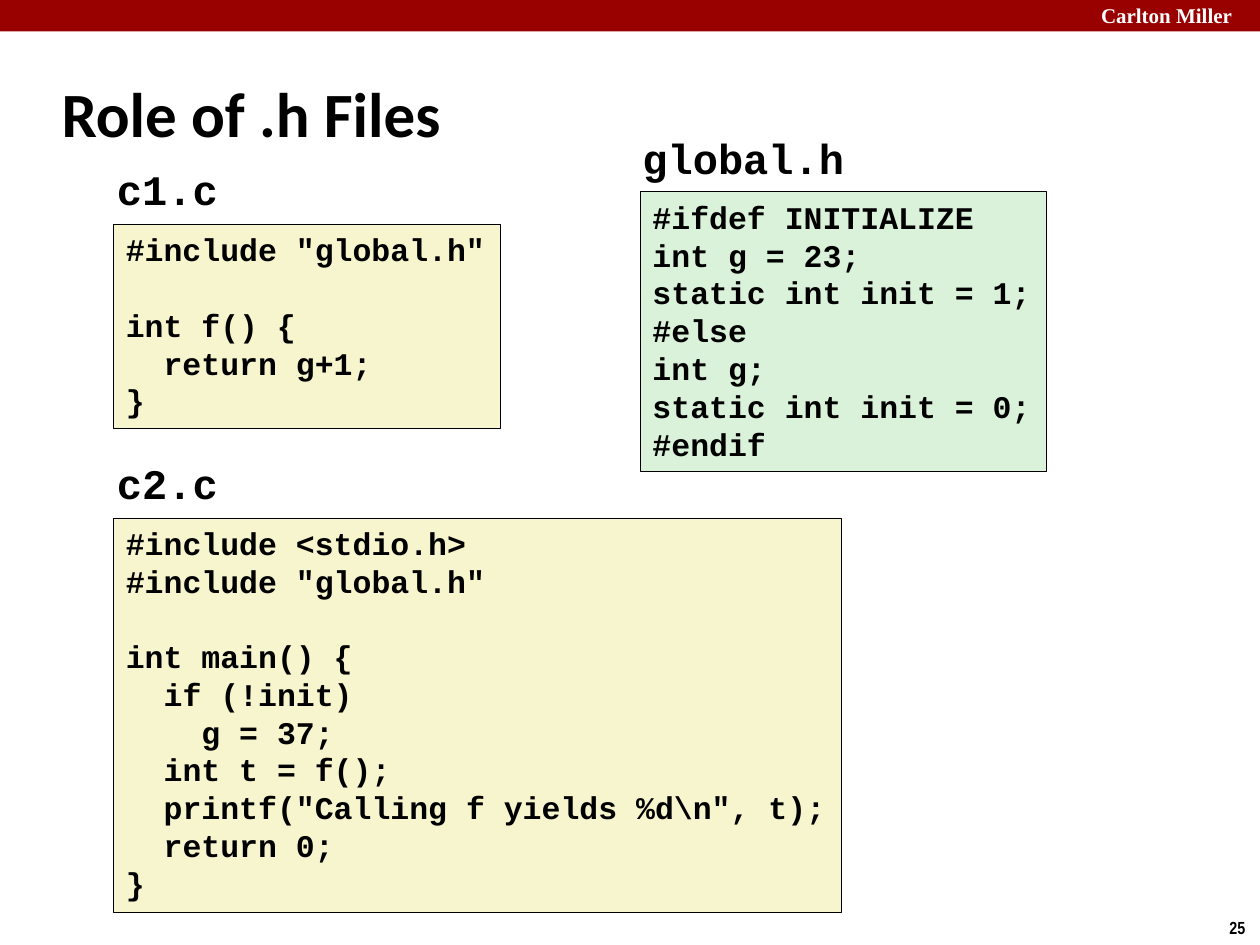
from pptx import Presentation
from pptx.dml.color import RGBColor
from pptx.enum.shapes import MSO_SHAPE
from pptx.enum.text import MSO_ANCHOR, MSO_AUTO_SIZE, PP_ALIGN
from pptx.util import Inches, Pt

RECTANGLE = MSO_SHAPE.RECTANGLE
MIDDLE, TOP = MSO_ANCHOR.MIDDLE, MSO_ANCHOR.TOP
LEFT = PP_ALIGN.LEFT
FIT_SHAPE, NO_FIT = MSO_AUTO_SIZE.SHAPE_TO_FIT_TEXT, MSO_AUTO_SIZE.NONE

COLORS = {
    "banner": "990000",
    "source": "F7F5CD",
    "header": "DBF2DA",
    "ink": "000000",
    "white": "FFFFFF",
}

# Text formats: font name and size
CODE = {"name": "Courier New", "size": Pt(18)}
LABEL = {"name": "Courier New", "size": Pt(24)}
TITLE = {"name": "Calibri", "size": Pt(36)}
BRAND = {"name": "Times New Roman", "size": Pt(12)}
NUMBER = {"name": "Arial Narrow", "size": Pt(10)}
BLANK_LINE = Pt(21.4)

C1_CODE = """#include "global.h"

int f() {
  return g+1;
}"""

C2_CODE = r"""#include <stdio.h>
#include "global.h"

int main() {
  if (!init)
    g = 37;
  int t = f();
  printf("Calling f yields %d\n", t);
  return 0;
}"""

GLOBAL_CODE = """#ifdef INITIALIZE
int g = 23;
static int init = 1;
#else
int g;
static int init = 0;
#endif"""


def color(name):
    return RGBColor.from_string(COLORS[name])


def write(shape, text, style, ink="ink", wrap=False, anchor=TOP, fit=FIT_SHAPE):
    """Write one paragraph a line; an empty line becomes space before the next."""
    frame = shape.text_frame
    settings = {"word_wrap": wrap, "vertical_anchor": anchor, "auto_size": fit}
    for key, value in settings.items():
        setattr(frame, key, value)
    para, gap = frame.paragraphs[0], False
    for index, line in enumerate(text.split("\n")):
        if not line:
            gap = True
            continue
        if index:
            para = frame.add_paragraph()
        para.alignment = LEFT
        if gap:
            para.space_before, gap = BLANK_LINE, False
        span = para.add_run()
        span.text = line
        for key, value in {**style, "bold": True}.items():
            setattr(span.font, key, value)
        span.font.color.rgb = color(ink)


def add_box(page, place, fill, line=None):
    box = page.shapes.add_shape(RECTANGLE, *map(Inches, place))
    box.shadow.inherit = False
    box.fill.solid()
    box.fill.fore_color.rgb = color(fill)
    if line:
        box.line.color.rgb = color(line)
        box.line.width = Pt(0.25)
    else:
        box.line.fill.background()
    return box


def add_text(page, place, text, style, **options):
    box = page.shapes.add_textbox(*map(Inches, place))
    write(box, text, style, **options)


def add_file(page, name, label_place, code, code_place, fill):
    """A file name above a framed listing."""
    write(add_box(page, code_place, fill, "ink"), code, CODE)
    add_text(page, label_place, name, LABEL)


def main():
    deck = Presentation()
    deck.slide_width, deck.slide_height = Inches(10), Inches(7.5)
    page = deck.slides.add_slide(deck.slide_layouts[6])

    # Banner, slide number and title
    add_box(page, (0, 0, 10, 0.25), "banner")
    add_text(page, (8.64, -0.03, 1.43, 0.3), "Carlton Miller", BRAND,
             ink="white", wrap=True)
    add_text(page, (9.66, 7.23, 0.34, 0.27), "25", NUMBER)
    add_text(page, (0.39, 0.48, 8.3, 0.83), "Role of .h Files", TITLE,
             wrap=True, anchor=MIDDLE, fit=NO_FIT)

    # Source files on the left, shared header on the right
    add_file(page, "c1.c", (0.83, 1.25, 1.01, 0.5),
             C1_CODE, (0.9, 1.78, 3.07, 1.62), "source")
    add_file(page, "global.h", (5, 1, 1.81, 0.5),
             GLOBAL_CODE, (5.08, 1.52, 3.22, 2.22), "header")
    add_file(page, "c2.c", (0.83, 3.58, 1.01, 0.5),
             C2_CODE, (0.9, 4.11, 5.78, 3.13), "source")

    deck.save("out.pptx")


if __name__ == "__main__":
    main()
